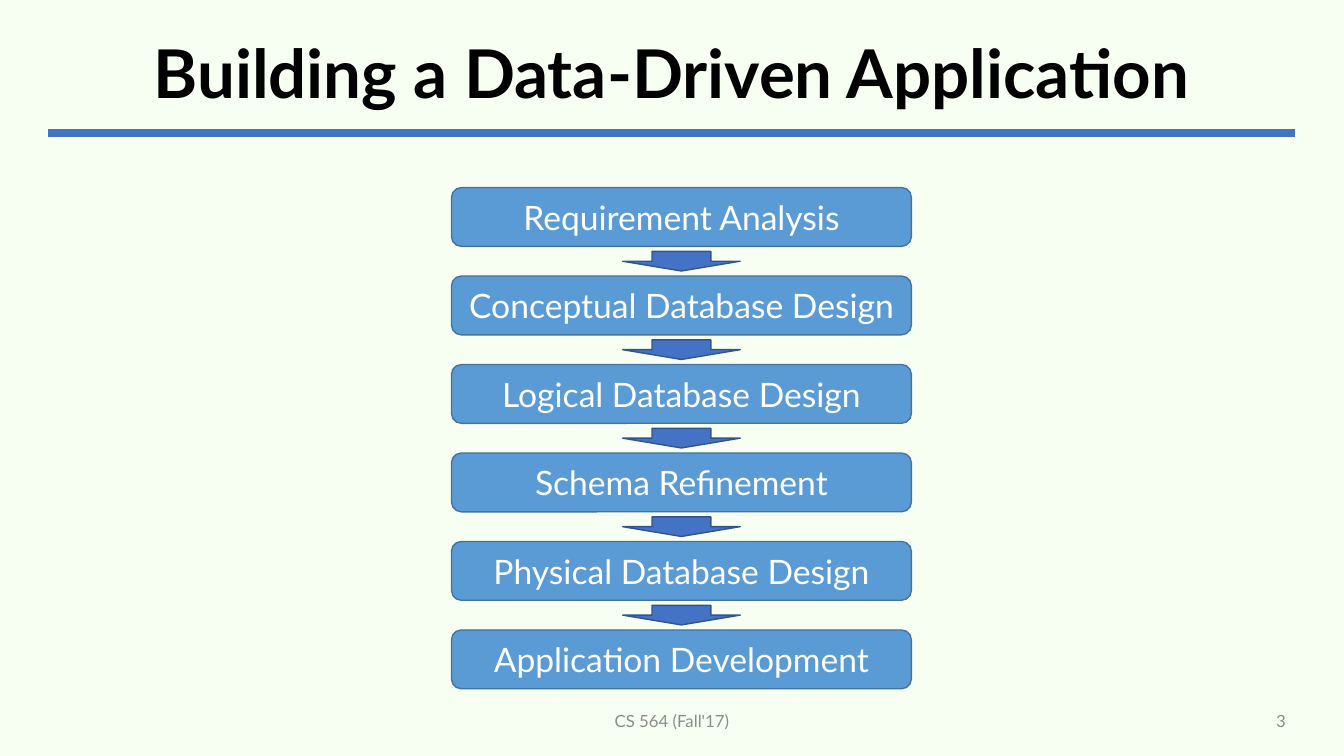
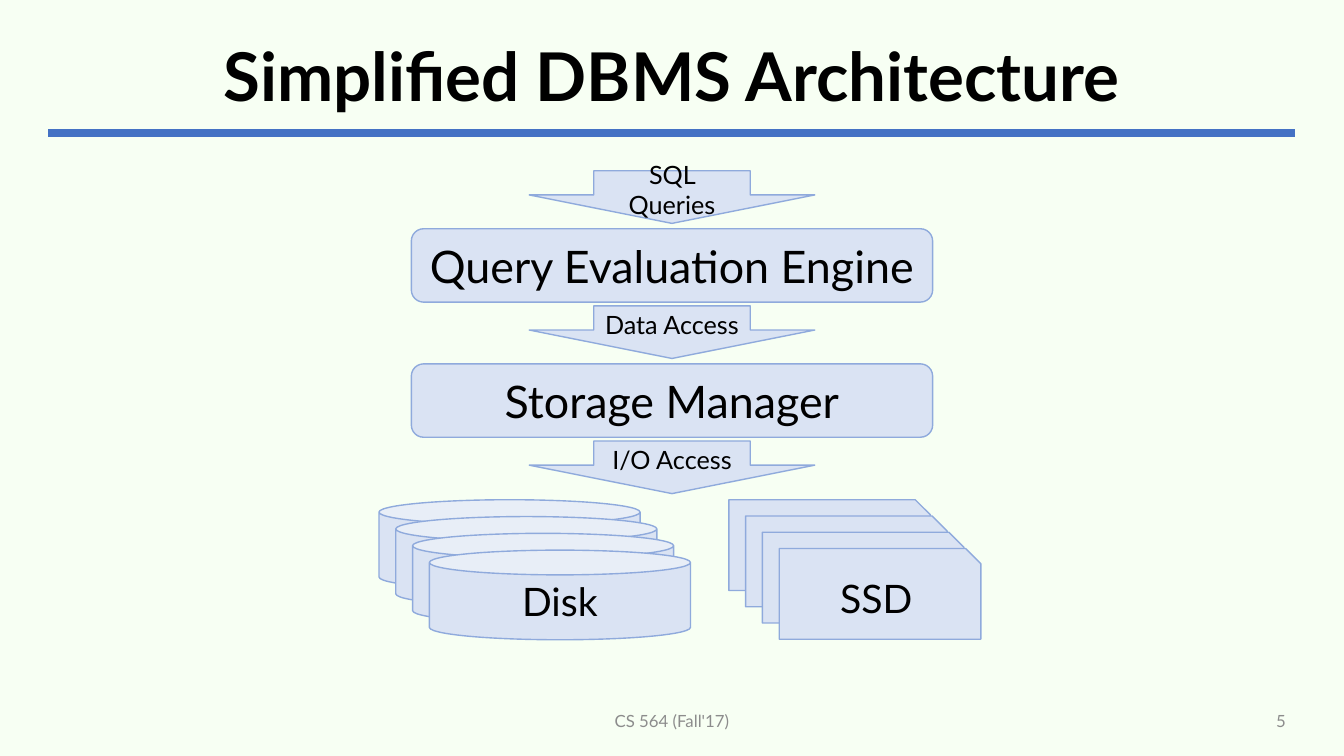
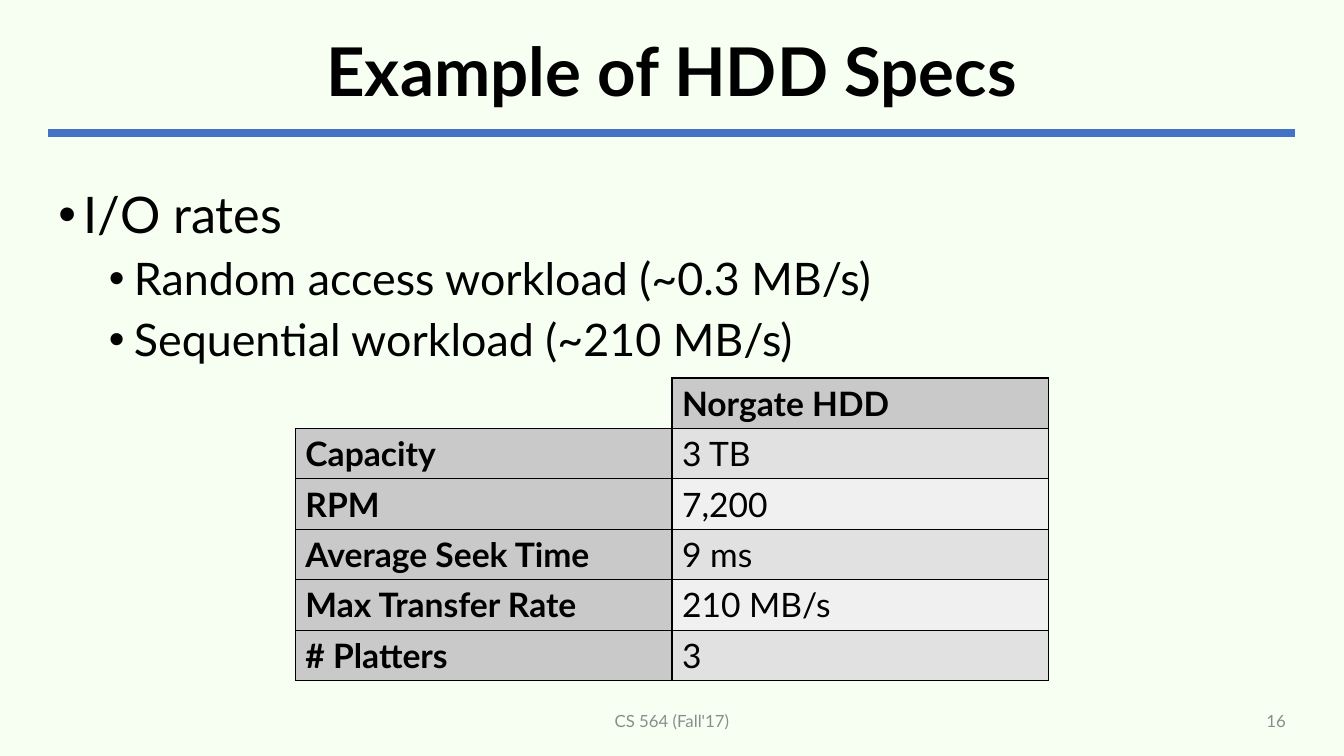
"""Build three lecture slides on database design, DBMS architecture and disk specs."""
from dataclasses import dataclass
from typing import Optional

from lxml import etree
from pptx import Presentation
from pptx import util as u
from pptx.dml import color
from pptx.enum import shapes, text
from pptx.oxml import ns

FONT = "Lato"
BLACK, GREY, WHITE = "000000", "8C8C8C", "FFFFFF"
PAPER, BLUE = "F7FFF3", "4472C4"
HEADER, BANDS = "C9C9C9", ("E1E1E1", "F0F0F0")
LEFT, WIDTH = 34.5, 890.5
TITLE_TOP = 17
TITLE_ONLY, TITLE_BODY = 5, 1
KIND = shapes.MSO_SHAPE
ALIGN = text.PP_ALIGN
MIDDLE = text.MSO_ANCHOR.MIDDLE


@dataclass(frozen=True)
class Box:
    """A rectangle in points."""
    x: float
    y: float
    w: float
    h: float

    def lengths(self) -> list:
        """Return the four sides as lengths."""
        return [u.Pt(v) for v in (self.x, self.y, self.w, self.h)]


@dataclass(frozen=True)
class Look:
    """The outline, colours and text size of one family of shapes."""
    kind: int
    fill: str
    line: str
    size: float = 18
    ink: str = BLACK
    adj: tuple = ()


@dataclass(frozen=True)
class Stack:
    """A pile of equal shapes with a label on the front one."""
    label: str
    look: Look
    front: Box
    dx: float
    dy: float
    count: int = 4


PALE, PALE_LINE = "DAE3F3", "8FAADC"
STEP = Look(KIND.ROUNDED_RECTANGLE, "5B9BD5", "43739E", 24, WHITE)
STEP_ARROW = Look(KIND.DOWN_ARROW, BLUE, "325491")
LAYER = Look(KIND.ROUNDED_RECTANGLE, PALE, PALE_LINE, 32)
LAYER_ARROW = Look(KIND.DOWN_ARROW, PALE, PALE_LINE, 18, adj=(0.548, 0.54))
DISK = Look(KIND.CAN, PALE, PALE_LINE, 28, adj=(0.276,))
SSD = Look(KIND.SNIP_1_RECTANGLE, PALE, PALE_LINE, 28)

STEPS = ("Requirement Analysis", "Conceptual Database Design",
         "Logical Database Design", "Schema Refinement",
         "Physical Database Design", "Application Development")
LAYERS = ("Query Evaluation Engine", "Storage Manager")
REQUESTS = ("SQL Queries", "Data Access", "I/O Access")
STACKS = (Stack("Disk", DISK, Box(306.7, 393, 186.5, 64), 12, 12),
          Stack("SSD", SSD, Box(556.6, 391.8, 144, 64.8), 12, 11.6))
RATES = (("I/O rates", 0), ("Random access workload (~0.3 MB/s)", 1),
         ("Sequential workload (~210 MB/s)", 1))
SPECS = (("", "Norgate HDD"), ("Capacity", "3 TB"), ("RPM", "7,200"),
         ("Average Seek Time", "9 ms"), ("Max Transfer Rate", "210 MB/s"),
         ("# Platters", "3"))


def rgb(code: str) -> color.RGBColor:
    """Turn a hex string into a colour."""
    return color.RGBColor.from_string(code)


def style(p, size: float, ink: str = BLACK, bold: bool = False,
          align: Optional[int] = None) -> None:
    """Format the runs of a paragraph and align it."""
    p.alignment = align
    for r in p.runs:
        r.font.name, r.font.size, r.font.bold = FONT, u.Pt(size), bold
        r.font.color.rgb = rgb(ink)


def place(sp, box: Box) -> None:
    """Move and size a placeholder."""
    sp.left, sp.top, sp.width, sp.height = box.lengths()


def add_shape(s, look: Look, box: Box, label: str = "") -> None:
    """Draw a preset shape with an optional centred label."""
    sp = s.shapes.add_shape(look.kind, *box.lengths())
    sp.shadow.inherit = False
    for i, value in enumerate(look.adj):
        sp.adjustments[i] = value
    sp.fill.solid()
    sp.fill.fore_color.rgb = rgb(look.fill)
    sp.line.color.rgb = rgb(look.line)
    sp.line.width = u.Pt(1)
    if label:
        tf = sp.text_frame
        tf.text, tf.word_wrap, tf.vertical_anchor = label, True, MIDDLE
        style(tf.paragraphs[0], look.size, look.ink, align=ALIGN.CENTER)


def add_note(s, label: str, box: Box, align: int) -> None:
    """Write one line of footer text."""
    tf = s.shapes.add_textbox(*box.lengths()).text_frame
    tf.text, tf.word_wrap, tf.vertical_anchor = label, True, MIDDLE
    style(tf.paragraphs[0], 12, GREY, align=align)


def add_slide(prs, layout: int, title: str, number: int, title_height: float):
    """Add a slide with the shared title, rule and footer."""
    s = prs.slides.add_slide(prs.slide_layouts[layout])
    sp = s.shapes.title
    place(sp, Box(LEFT, TITLE_TOP, WIDTH, title_height))
    tf = sp.text_frame
    tf.text, tf.vertical_anchor = title, MIDDLE
    tf.auto_size = text.MSO_AUTO_SIZE.NONE
    p = tf.paragraphs[0]
    p.line_spacing = 0.9
    style(p, 48, bold=True, align=ALIGN.CENTER)
    rule = s.shapes.add_connector(shapes.MSO_CONNECTOR.STRAIGHT, u.Pt(LEFT), u.Pt(95),
                                  u.Pt(LEFT + WIDTH), u.Pt(95))
    rule.line.color.rgb = rgb(BLUE)
    rule.line.width = u.Pt(6)
    etree.SubElement(rule._element.spPr, ns.qn("a:effectLst"))
    add_note(s, "CS 564 (Fall'17)", Box(318, 500.4, 324, 28.8), ALIGN.CENTER)
    add_note(s, str(number), Box(678, 500.4, 247.5, 28.8), ALIGN.RIGHT)
    return s


def add_steps(s) -> None:
    """Draw the design steps and the arrows between them."""
    first = Box(322.5, 134, 328.5, 42)
    pitch, arrow_w, arrow_h = 63.2, 84, 14
    arrow_x = first.x + (first.w - arrow_w) / 2
    for i, label in enumerate(STEPS):
        top = first.y + i * pitch
        add_shape(s, STEP, Box(first.x, top, first.w, first.h), label)
        if i < len(STEPS) - 1:
            arrow_y = top + (first.h + pitch - arrow_h) / 2
            add_shape(s, STEP_ARROW, Box(arrow_x, arrow_y, arrow_w, arrow_h))


def add_architecture(s) -> None:
    """Draw the layers, the requests between them and the storage stacks."""
    pitch = 96.5
    for i, label in enumerate(LAYERS):
        add_shape(s, LAYER, Box(293.8, 163.4 + i * pitch, 372.4, 52.4), label)
    for i, label in enumerate(REQUESTS):
        add_shape(s, LAYER_ARROW, Box(378, 122 + i * pitch, 204, 37.6), label)
    for stack in STACKS:
        f = stack.front
        for back in reversed(range(stack.count)):
            box = Box(f.x - back * stack.dx, f.y - back * stack.dy, f.w, f.h)
            add_shape(s, stack.look, box, "" if back else stack.label)


def add_rates(s) -> None:
    """Fill the body placeholder with the bulleted rates."""
    sp = s.placeholders[1]
    place(sp, Box(LEFT, 127.5, WIDTH, 365))
    tf = sp.text_frame
    tf.auto_size = text.MSO_AUTO_SIZE.NONE
    for i, (label, level) in enumerate(RATES):
        p = tf.add_paragraph() if i else tf.paragraphs[0]
        p.text, p.level = label, level
        p.space_before, p.line_spacing = u.Pt(5 if level else 10), 1.0
        style(p, 32 if level else 36)
        pPr = p._p.get_or_add_pPr()
        pPr.set("marL", str(u.Pt(18 + 36 * level)))
        pPr.set("indent", str(u.Pt(-18)))
        etree.SubElement(pPr, ns.qn("a:buFont"), typeface="Arial")
        etree.SubElement(pPr, ns.qn("a:buChar"), char="•")


def set_borders(cell, shown: str) -> None:
    """Draw the named sides of a cell in black and hide the others."""
    tcPr = cell._tc.get_or_add_tcPr()
    for side in "LRTB":
        ln = etree.SubElement(tcPr, ns.qn(f"a:ln{side}"), w=str(u.Pt(1)))
        if side in shown:
            fill = etree.SubElement(ln, ns.qn("a:solidFill"))
            etree.SubElement(fill, ns.qn("a:srgbClr"), val=BLACK)
        else:
            etree.SubElement(ln, ns.qn("a:noFill"))


def add_specs(s) -> None:
    """Draw the table of drive specs."""
    row_h = 36
    box = Box(211, 270, 538, row_h * len(SPECS))
    table = s.shapes.add_table(len(SPECS), 2, *box.lengths()).table
    table.first_row = table.horz_banding = False
    for i, row in enumerate(SPECS):
        table.rows[i].height = u.Pt(row_h)
        for j, label in enumerate(row):
            cell = table.cell(i, j)
            set_borders(cell, "LRTB" if label else "RB")
            if not label:
                cell.fill.background()
                continue
            head = i == 0 or j == 0
            cell.fill.solid()
            cell.fill.fore_color.rgb = rgb(HEADER if head else BANDS[(i - 1) % 2])
            cell.text_frame.text = label
            style(cell.text_frame.paragraphs[0], 24, bold=head)


def main() -> None:
    """Build and save the presentation."""
    prs = Presentation()
    prs.slide_width, prs.slide_height = u.Pt(960), u.Pt(540)
    paper = prs.slide_master.background.fill
    paper.solid()
    paper.fore_color.rgb = rgb(PAPER)
    add_steps(add_slide(prs, TITLE_ONLY, "Building a Data-Driven Application", 3, 75.6))
    add_architecture(add_slide(prs, TITLE_ONLY, "Simplified DBMS Architecture", 5, 80.6))
    s = add_slide(prs, TITLE_BODY, "Example of HDD Specs", 16, 72.8)
    add_rates(s)
    add_specs(s)
    prs.save("out.pptx")


if __name__ == "__main__":
    main()
